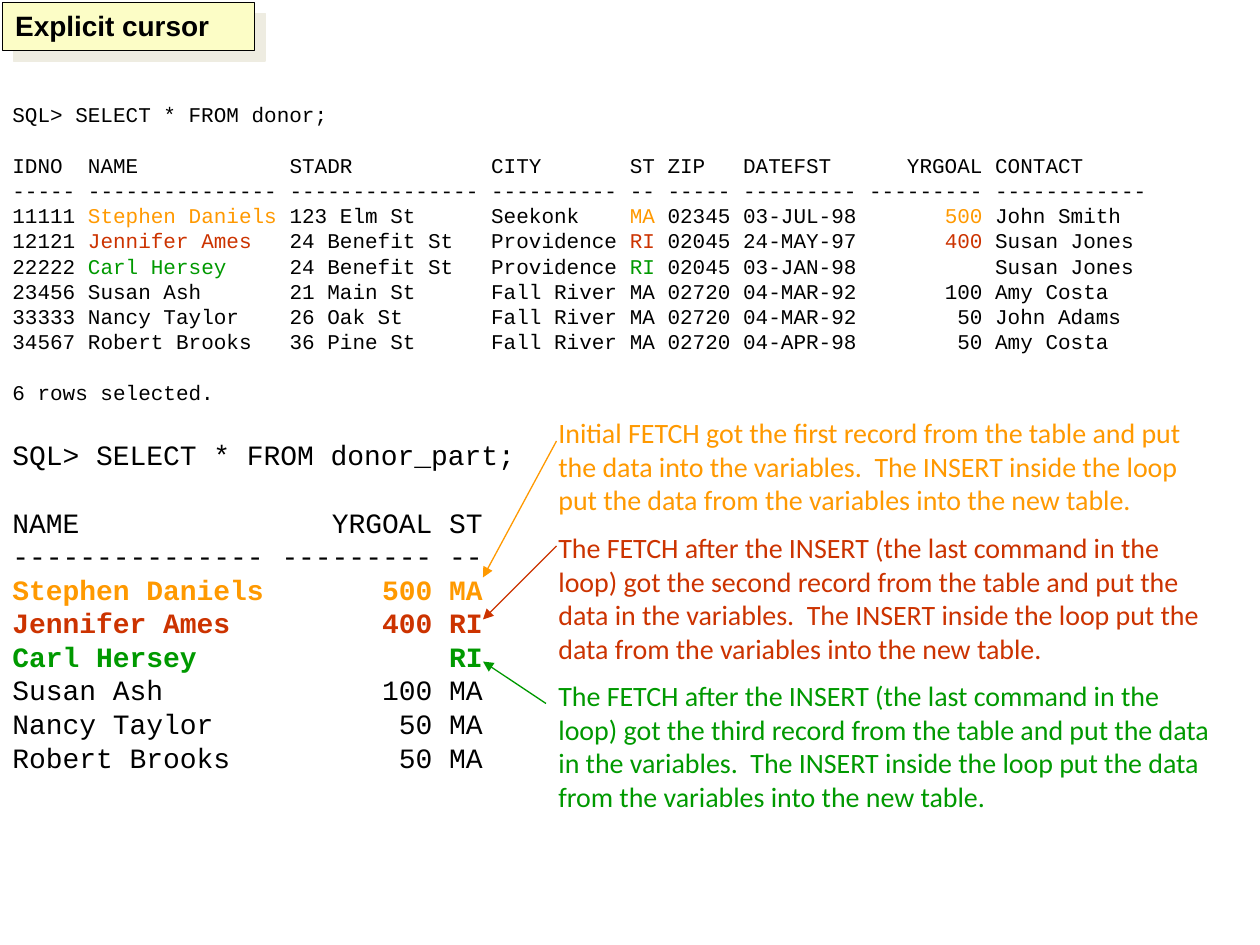
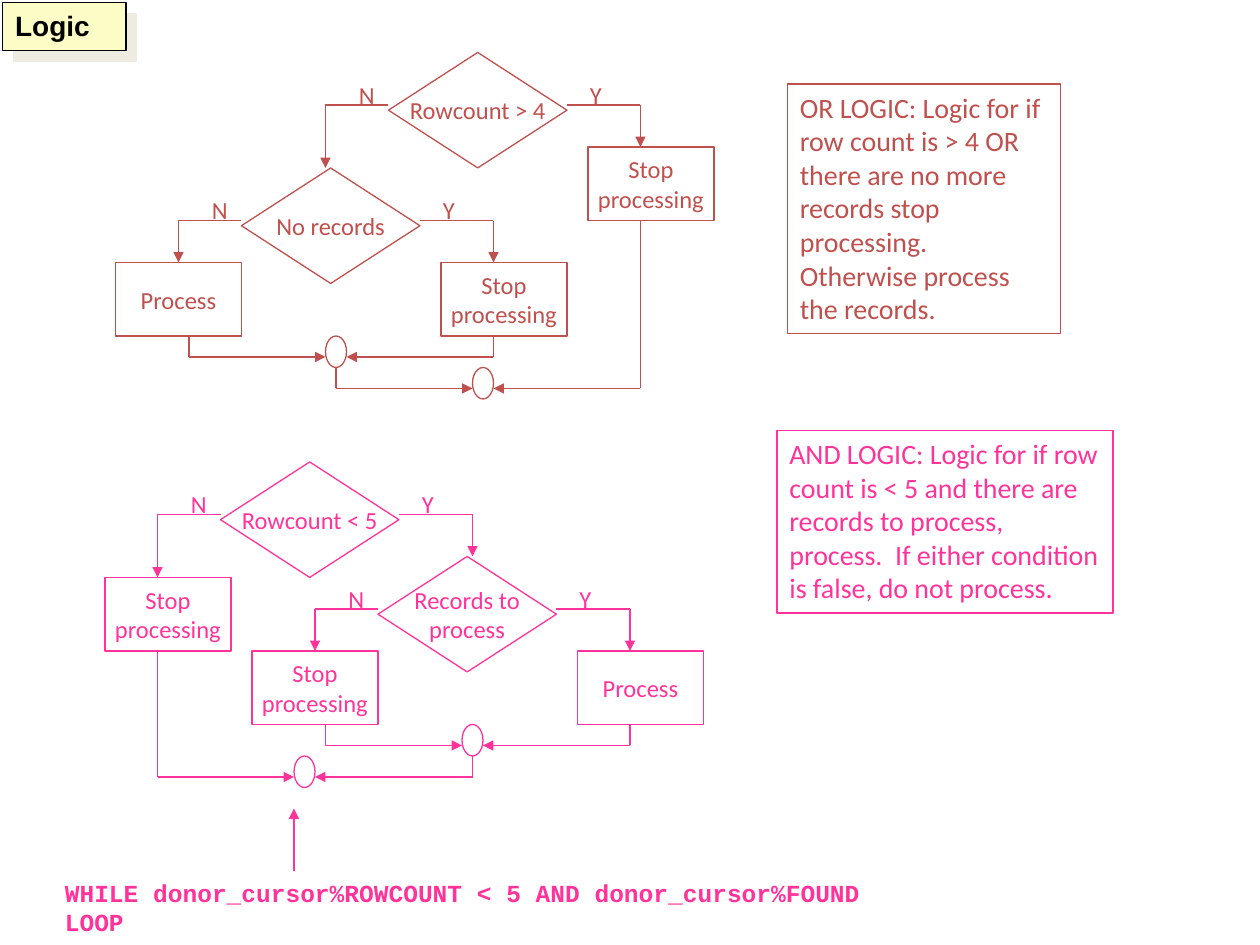
from lxml import etree
from pptx import Presentation
from pptx.dml.color import RGBColor
from pptx.enum.shapes import MSO_CONNECTOR, MSO_SHAPE
from pptx.enum.text import MSO_ANCHOR, MSO_AUTO_SIZE, PP_ALIGN
from pptx.oxml.ns import qn
from pptx.util import Pt

RECT, OVAL = MSO_SHAPE.RECTANGLE, MSO_SHAPE.OVAL
DIAMOND = MSO_SHAPE.FLOWCHART_DECISION
STRAIGHT = MSO_CONNECTOR.STRAIGHT
TOP, MIDDLE = MSO_ANCHOR.TOP, MSO_ANCHOR.MIDDLE
LEFT, CENTER = PP_ALIGN.LEFT, PP_ALIGN.CENTER
FIXED = MSO_AUTO_SIZE.NONE

COLORS = {
    "black": "000000", "cream": "FCFDC6", "shade": "EEECE1",
    "orange": "FF9900", "red": "CC3300", "green": "009900",
    "brick": "C0504D", "pink": "FF3399",
}
TITLE = {"size": Pt(16), "name": "Arial", "bold": True}
NOTE = {"size": Pt(16), "name": "Calibri"}
STEP = {"size": Pt(14), "name": "Calibri"}
CODE = {"size": Pt(14), "name": "Courier New", "bold": True}
LIST = {"size": Pt(12), "name": "Courier New"}
PART = {"size": Pt(16), "name": "Courier New"}
BOLD = {**PART, "bold": True}

FIELDS = ("IDNO", "NAME", "STADR", "CITY", "ST", "ZIP", "DATEFST", "YRGOAL", "CONTACT")
WIDTHS = (5, 15, 15, 10, 2, 5, 9, 9, 12)
NAME, STATE, GOAL = 1, 4, 7
KEPT = (NAME, GOAL, STATE)
TINTS = ("orange", "red", "green", "black", "black", "black")
DONORS = (
    ("11111", "Stephen Daniels", "123 Elm St", "Seekonk", "MA", "02345",
     "03-JUL-98", "500", "John Smith"),
    ("12121", "Jennifer Ames", "24 Benefit St", "Providence", "RI", "02045",
     "24-MAY-97", "400", "Susan Jones"),
    ("22222", "Carl Hersey", "24 Benefit St", "Providence", "RI", "02045",
     "03-JAN-98", "", "Susan Jones"),
    ("23456", "Susan Ash", "21 Main St", "Fall River", "MA", "02720",
     "04-MAR-92", "100", "Amy Costa"),
    ("33333", "Nancy Taylor", "26 Oak St", "Fall River", "MA", "02720",
     "04-MAR-92", "50", "John Adams"),
    ("34567", "Robert Brooks", "36 Pine St", "Fall River", "MA", "02720",
     "04-APR-98", "50", "Amy Costa"),
)
FETCH = (
    ("Initial FETCH got the first record from the table and put the data into the "
     "variables.  The INSERT inside the loop put the data from the variables into "
     "the new table.", "orange"),
    ("The FETCH after the INSERT (the last command in the loop) got the second record "
     "from the table and put the data in the variables.  The INSERT inside the loop "
     "put the data from the variables into the new table.", "red"),
    ("The FETCH after the INSERT (the last command in the loop) got the third record "
     "from the table and put the data in the variables.  The INSERT inside the loop "
     "put the data from the variables into the new table.", "green"),
)


def rgb(color):
    return RGBColor.from_string(COLORS[color])


def apply(item, values):
    for key, value in values.items():
        setattr(item, key, value)


def points(*values):
    return [Pt(value) for value in values]


def write(frame, runs, look, gap=0, align=LEFT):
    """Add a paragraph of (text, color) runs, using the first one if it is empty."""
    para = frame.paragraphs[0]
    if para.runs:
        para = frame.add_paragraph()
    apply(para, {"alignment": align, "space_before": Pt(gap),
                 "line_spacing": int(look["size"] * 1.2) and Pt(look["size"].pt * 1.2)})
    for text, color in runs:
        run = para.add_run()
        run.text = text
        apply(run.font, look)
        run.font.color.rgb = rgb(color)
    return para


def edge(shape, color):
    shape.line.color.rgb = rgb(color)
    shape.line.width = Pt(0.75)


def add_title(deck, text, width):
    """Add a title-only slide with its shadowed heading band."""
    slide = deck.slides.add_slide(deck.slide_layouts[5])
    band = slide.shapes.title
    apply(band, dict(zip(("left", "top", "width", "height"), points(1.5, 1.5, width, 27.4))))
    band.fill.solid()
    band.fill.fore_color.rgb = rgb("cream")
    edge(band, "black")
    apply(band.text_frame, {"auto_size": FIXED, "vertical_anchor": TOP, "word_wrap": True})
    write(band.text_frame, [(text, "black")], TITLE)
    effects = etree.SubElement(band._element.spPr, qn("a:effectLst"))
    shadow = etree.SubElement(effects, qn("a:outerShdw"), dist=str(Pt(8.5)),
                              dir="2700000", algn="ctr", rotWithShape="0")
    etree.SubElement(shadow, qn("a:srgbClr"), val=COLORS["shade"])
    return slide


def add_text(slide, box, paras, look, gap=0):
    frame = slide.shapes.add_textbox(*points(*box)).text_frame
    frame.word_wrap = True
    for i, (text, color) in enumerate(paras):
        write(frame, [(text, color)], look, gap if i else 0)
    return frame


def add_shape(slide, kind, box, color):
    shape = slide.shapes.add_shape(kind, *points(*box))
    shape.shadow.inherit = False
    shape.fill.background()
    edge(shape, color)
    return shape


def add_step(slide, kind, box, text, color):
    """Add a flowchart shape with centred lines of text."""
    shape = add_shape(slide, kind, box, color)
    apply(shape.text_frame, {"word_wrap": False, "vertical_anchor": MIDDLE})
    for line in text.split("\n"):
        write(shape.text_frame, [(line, color)], STEP, align=CENTER)
    return shape


def add_note(slide, box, text, color):
    frame = add_shape(slide, RECT, box, color).text_frame
    apply(frame, {"word_wrap": True, "vertical_anchor": TOP})
    write(frame, [(text, color)], NOTE)


def add_line(slide, start, end, color, arrow=False):
    line = slide.shapes.add_connector(STRAIGHT, *points(*start, *end))
    edge(line, color)
    props = line._element.spPr
    if arrow:
        etree.SubElement(props.find(qn("a:ln")), qn("a:tailEnd"), type="triangle")
    etree.SubElement(props, qn("a:effectLst"))
    return line


def add_box(slide, x, y, text, color):
    return add_step(slide, RECT, (x, y, 72, 42), text, color)


def add_test(slide, x, y, text, color, drop=54):
    """Add a decision with its N and Y branches; return the N arrow."""
    add_step(slide, DIAMOND, (x, y, 102, 66), text, color)
    bend = y + 30
    for label, left, width, start, end, foot in (
            ("Y", x + 108, 18, x + 102, x + 144, y + 54),
            ("N", x - 24, 24.5, x, x - 36, y + drop)):
        add_text(slide, (left, y + 12, width, 24), [(label, color)], STEP)
        add_line(slide, (start, bend), (end, bend), color)
        arrow = add_line(slide, (end, bend), (end, foot), color, True)
    return arrow


def add_join(slide, x, y, left, right, color):
    """Add a joining point with an elbow from the left and one from the right."""
    level = y + 12
    for (start, top), end in ((left, x), (right, x + 12)):
        add_line(slide, (start, top), (start, level), color)
        add_line(slide, (start, level), (end, level), color, True)
    add_shape(slide, OVAL, (x, y, 12, 18), color)


def add_row(frame, cells, widths, right, look, colors, gap=0):
    """Add one listing row, with tab stops counted in monospaced characters."""
    runs = [("\t" * (i > 0) + cell, color)
            for i, (cell, color) in enumerate(zip(cells, colors))]
    para = write(frame, runs, look, gap)
    stops = etree.SubElement(para._p.get_or_add_pPr(), qn("a:tabLst"))
    for i in range(1, len(widths)):
        spot, kind = sum(widths[:i]) + i, "l"
        if i == right:
            spot, kind = spot + widths[i], "r"
        etree.SubElement(stops, qn("a:tab"),
                         pos=str(Pt(spot * look["size"].pt * 0.6)), algn=kind)


def add_head(frame, names, widths, right, look, gap):
    plain = ["black"] * len(names)
    add_row(frame, names, widths, right, look, plain, gap)
    add_row(frame, ["-" * width for width in widths], widths, right, look, plain)


def cursor_slide(deck):
    slide = add_title(deck, "Explicit cursor", 144)
    frame = add_text(slide, (0, 54.7, 666.7, 391.7),
                     [("SQL> SELECT * FROM donor;", "black")], LIST)
    add_head(frame, FIELDS, WIDTHS, GOAL, LIST, 14.4)
    for donor, tint in zip(DONORS, TINTS):
        colors = [tint if i in KEPT else "black" for i in range(len(donor))]
        add_row(frame, donor, WIDTHS, GOAL, LIST, colors)
    write(frame, [("6 rows selected.", "black")], LIST, 14.4)

    write(frame, [("SQL> SELECT * FROM donor_part;", "black")], PART, 19.2)
    widths = [WIDTHS[i] for i in KEPT]
    add_head(frame, [FIELDS[i] for i in KEPT], widths, 1, PART, 19.2)
    for donor, tint in zip(DONORS, TINTS):
        look = PART if tint == "black" else BOLD
        add_row(frame, [donor[i] for i in KEPT], widths, 1, look, [tint] * 3)

    add_text(slide, (312, 234, 390, 267), FETCH, NOTE, 8)
    for start, end, color in (((318, 252), (276, 330), "orange"),
                              ((318, 312), (276, 354), "red"),
                              ((312, 402), (276, 378), "green")):
        add_line(slide, start, end, color, True)


def logic_slide(deck):
    slide = add_title(deck, "Logic", 70.5)
    stop = "Stop\nprocessing"

    add_test(slide, 222, 30, "Rowcount > 4", "brick", 66)
    add_box(slide, 336, 84, stop, "brick")
    arrow = add_test(slide, 138, 96, "No records", "brick")
    add_box(slide, 252, 150, stop, "brick")
    arrow.end_connect(add_box(slide, 66, 150, "Process", "brick"), 0)
    add_join(slide, 186, 192, (108, 192), (282, 192), "brick")
    add_join(slide, 270, 210, (192, 210), (366, 126), "brick")
    add_note(slide, (450, 48, 156, 142.6),
             "OR LOGIC: Logic for if row count is > 4 OR there are no more records "
             "stop processing.  Otherwise process the records.", "brick")

    add_test(slide, 126, 264, "Rowcount < 5", "pink", 66)
    add_box(slide, 60, 330, stop, "pink")
    arrow = add_test(slide, 216, 318, "Records to\nprocess", "pink")
    add_box(slide, 330, 372, "Process", "pink")
    arrow.end_connect(add_box(slide, 144, 372, stop, "pink"), 0)
    add_join(slide, 264, 414, (186, 414), (360, 414), "pink")
    add_join(slide, 168, 432, (90, 372), (270, 432), "pink")
    add_note(slide, (444, 246, 192, 104.4),
             "AND LOGIC: Logic for if row count is < 5 and there are records to process, "
             "process.  If either condition is false, do not process.", "pink")

    add_line(slide, (168, 498), (168, 462), "pink", True)
    add_text(slide, (30, 498, 508, 24),
             [("WHILE donor_cursor%ROWCOUNT < 5 AND donor_cursor%FOUND LOOP", "pink")], CODE)


def main():
    deck = Presentation()
    deck.slide_width, deck.slide_height = points(720, 540)
    cursor_slide(deck)
    logic_slide(deck)
    deck.save("out.pptx")


if __name__ == "__main__":
    main()
